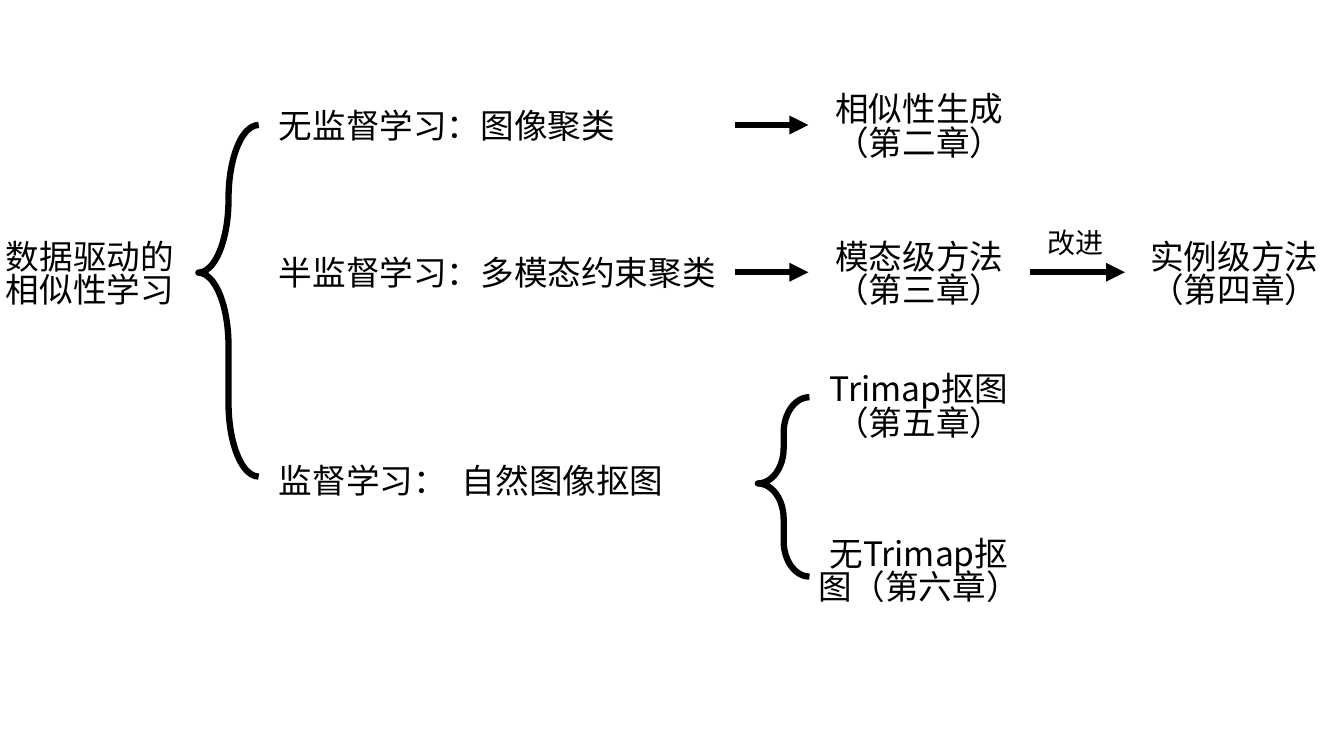
import pptx
import pptx.util
import pptx.dml.color
import pptx.enum.shapes
import pptx.enum.text
from lxml import etree
from pptx.oxml.ns import qn
from pptx.util import Cm

BLACK = pptx.dml.color.RGBColor(0, 0, 0)
FONT = "Noto Sans CJK SC"
LEFT = pptx.enum.text.PP_ALIGN.LEFT
CENTER = pptx.enum.text.PP_ALIGN.CENTER
LINE_WIDTH = pptx.util.Pt(4.5)

deck = pptx.Presentation()
deck.slide_width, deck.slide_height = Cm(33.87), Cm(19.05)
slide = deck.slides.add_slide(deck.slide_layouts[6])

# Row centres and column edges, in cm
UNSUPERVISED, SEMI, SUPERVISED = 3.15, 6.86, 12.09
TRIMAP, TRIMAP_FREE = 10.21, 14.35
BRANCH_LEFT, BRANCH_RIGHT = 6.78, 18.52
METHOD_LEFT, METHOD_RIGHT = 20.37, 25.96
INSTANCE_LEFT = 28.35
LABEL_HEIGHT = 3.61


def add_label(text, left, middle, width, align=CENTER, size=24):
    label = slide.shapes.add_textbox(
        Cm(left), Cm(middle - LABEL_HEIGHT / 2), Cm(width), Cm(LABEL_HEIGHT))
    frame = label.text_frame
    frame.word_wrap = True
    frame.vertical_anchor = pptx.enum.text.MSO_ANCHOR.MIDDLE
    frame.margin_top = Cm(0.3)
    frame.text = text
    for paragraph in frame.paragraphs:
        paragraph.alignment = align
        paragraph.line_spacing = 0.83
        paragraph.font.size = pptx.util.Pt(size)
        paragraph.font.name = FONT
        paragraph.font.color.rgb = BLACK
        for run in paragraph.runs:
            properties = run._r.get_or_add_rPr()
            etree.SubElement(properties, qn("a:ea")).set("typeface", FONT)


# Topic
add_label("数据驱动的\n相似性学习", -0.86, SEMI, 6.25)

# Learning branches
for branch, middle in [
    ("无监督学习：图像聚类", UNSUPERVISED),
    ("半监督学习：多模态约束聚类", SEMI),
    ("监督学习：  自然图像抠图", SUPERVISED),
]:
    add_label(branch, BRANCH_LEFT, middle, BRANCH_RIGHT - BRANCH_LEFT, LEFT)

# Methods and their chapters
for method, left, middle, width in [
    ("相似性生成（第二章）", METHOD_LEFT, UNSUPERVISED, 5.59),
    ("模态级方法（第三章）", METHOD_LEFT, SEMI, 5.59),
    ("实例级方法（第四章）", INSTANCE_LEFT, SEMI, 5.51),
    ("Trimap抠图（第五章）", METHOD_LEFT, TRIMAP, 5.59),
    ("无Trimap抠图（第六章）", 20.24, TRIMAP_FREE, 5.84),
]:
    add_label(method, left, middle, width)
add_label("改进", 23.98, 6.1, 6.25, size=20)

# Braces
for left, top, width, height, curve, tip in [
    (5, 3.15, 1.52, 8.86, 1.215, 0.42),
    (19.1, 10.01, 1.3, 4.52, 0.686, 0.481),
]:
    brace = slide.shapes.add_shape(
        pptx.enum.shapes.MSO_SHAPE.LEFT_BRACE,
        Cm(left), Cm(top), Cm(width), Cm(height))
    brace.adjustments[0], brace.adjustments[1] = curve, tip
    brace.shadow.inherit = False
    brace.fill.background()
    brace.line.color.rgb = BLACK
    brace.line.width = LINE_WIDTH

# Arrows
for start, end, middle in [
    (BRANCH_RIGHT, METHOD_LEFT, UNSUPERVISED),
    (BRANCH_RIGHT, METHOD_LEFT, SEMI),
    (METHOD_RIGHT, INSTANCE_LEFT, SEMI),
]:
    arrow = slide.shapes.add_connector(
        pptx.enum.shapes.MSO_CONNECTOR.STRAIGHT,
        Cm(start), Cm(middle), Cm(end), Cm(middle))
    arrow.line.color.rgb = BLACK
    arrow.line.width = LINE_WIDTH
    etree.SubElement(arrow.line._get_or_add_ln(), qn("a:tailEnd")).set("type", "triangle")
    etree.SubElement(arrow._element.spPr, qn("a:effectLst"))

deck.save("out.pptx")
